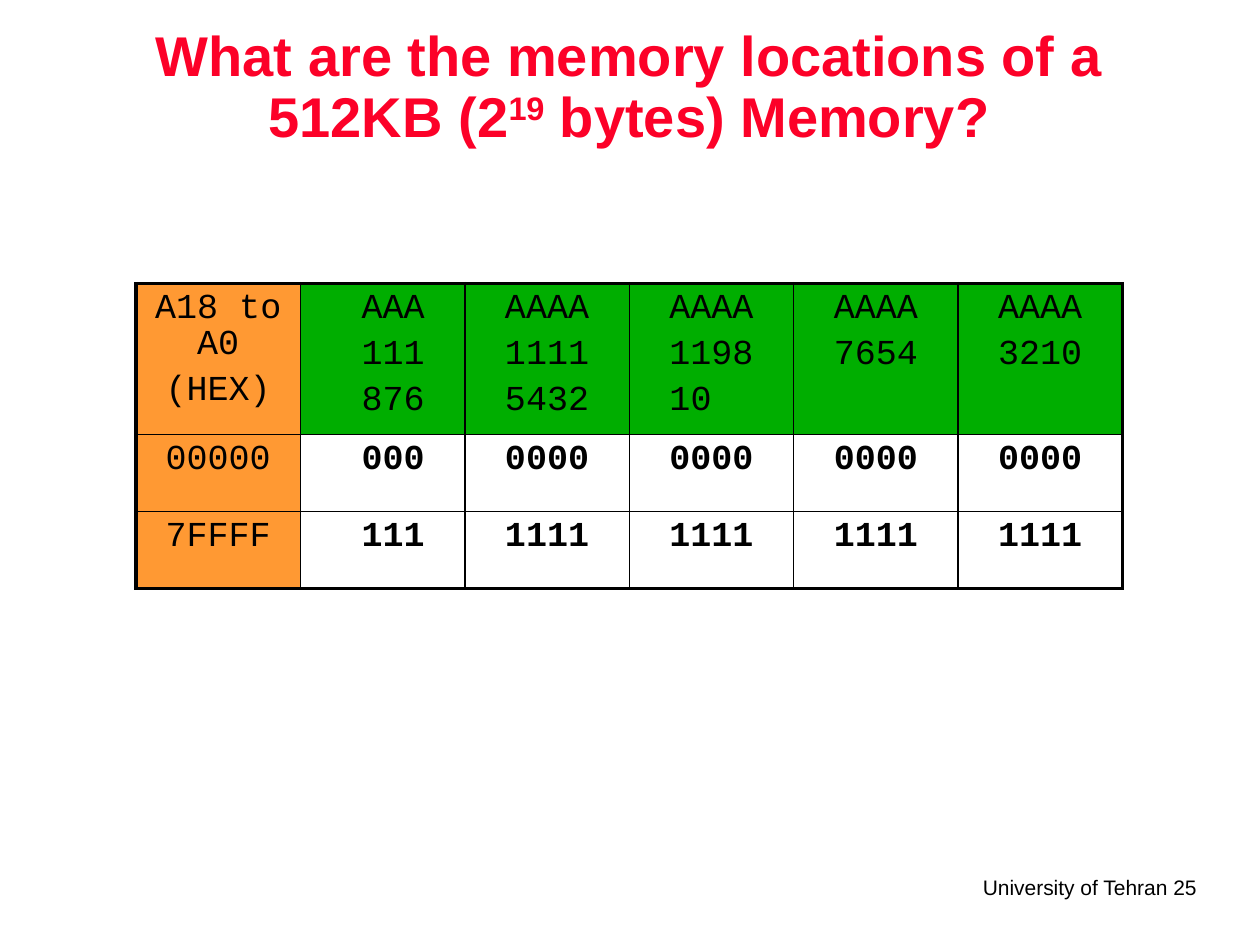
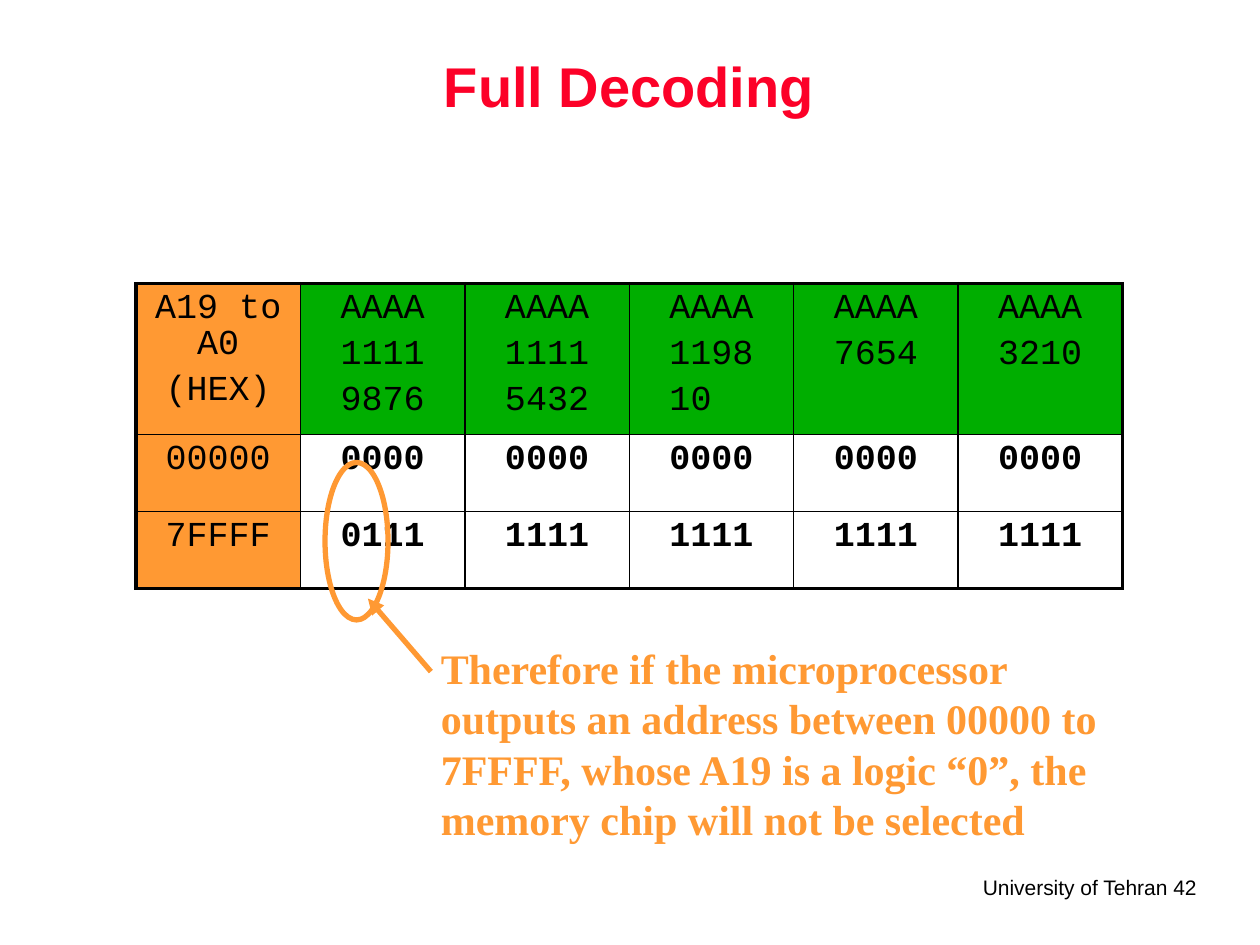
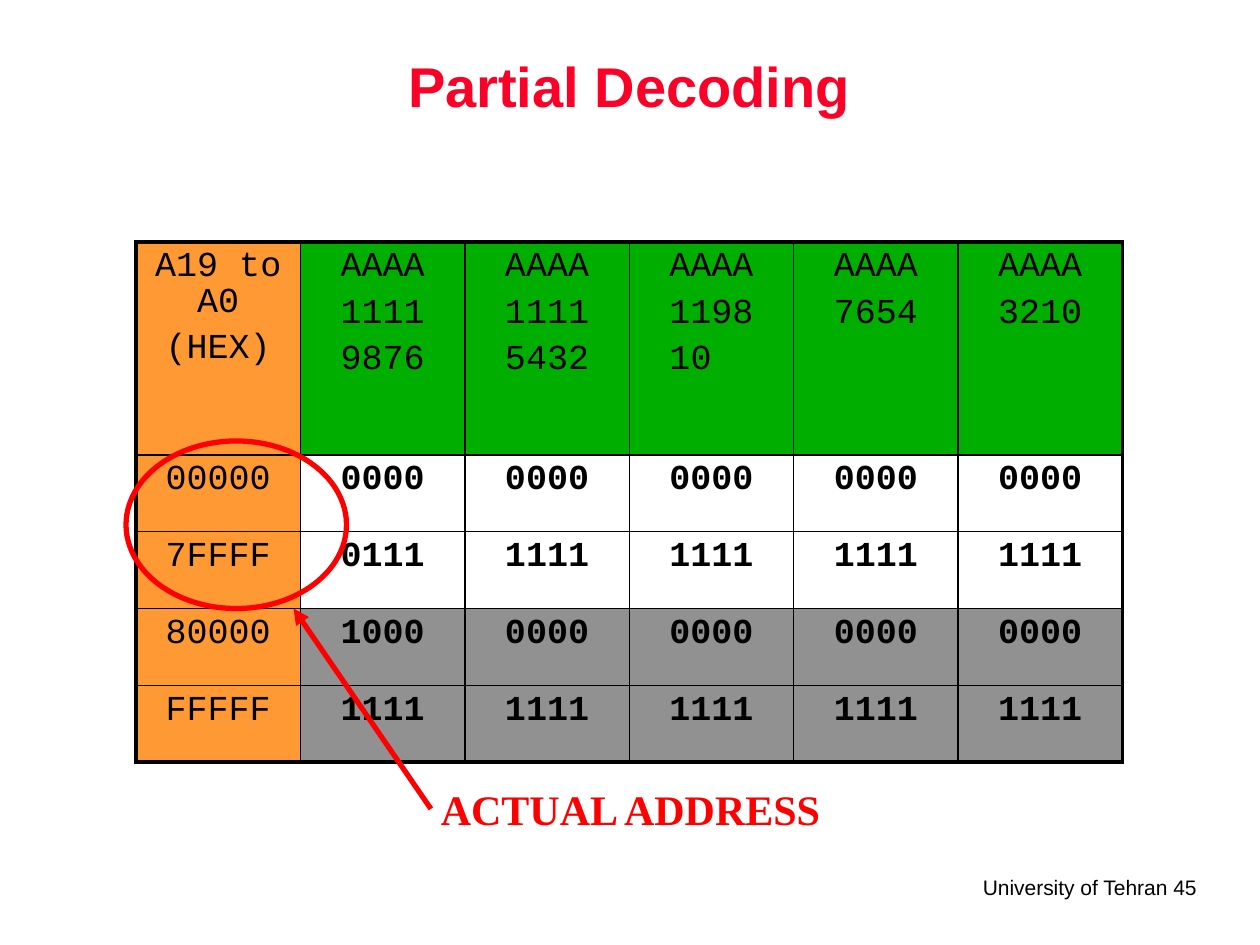
import pptx
import pptx.dml.color
import pptx.enum.shapes
import pptx.enum.text
import pptx.oxml.ns
import pptx.util
from lxml import etree
from pptx.util import Inches

COLORS = {
    "title": "FC0128",
    "text": "000000",
    "address": "FF9933",
    "header": "00AE00",
    "memory": "FFFFFF",
    "unused": "919191",
    "actual": "FF0000",
}
ALIGN = pptx.enum.text.PP_ALIGN
TABLE_LEFT, COLUMN_WIDTH, CELL_MARGIN = 1.08, 1.305, 0.1
CHARACTER_WIDTH = 1 / 6
LOWER_BITS = ["AAAA 1111 5432", "AAAA 1198 10__", "AAAA 7654", "AAAA 3210"]
ZEROS, ONES = ["0000"] * 4, ["1111"] * 4


def rgb(color):
    return pptx.dml.color.RGBColor.from_string(COLORS[color])


def add_xml(parent, tag, **attributes):
    return etree.SubElement(parent, pptx.oxml.ns.qn(tag), attributes)


class Deck:
    """Hold the shared style and the current slide of the memory lecture."""

    def __init__(self):
        self.presentation = pptx.Presentation()
        self.presentation.slide_width = Inches(10)
        self.presentation.slide_height = Inches(7.5)
        self.slide = None

    def new_slide(self, title, number):
        self.slide = self.presentation.slides.add_slide(self.presentation.slide_layouts[6])
        self.text(7.66, 6.89, 1.94, 0.3, [f"University of Tehran {number}"], 12, "Arial",
                  "text", align=ALIGN.RIGHT, wrap=False)
        frame = self.text(1.08, 0.08, 7.83, 1.25, title, 32, "Arial", "title", True, ALIGN.CENTER)
        frame.vertical_anchor = pptx.enum.text.MSO_ANCHOR.MIDDLE
        frame.paragraphs[0].line_spacing = 0.9

    def run(self, paragraph, text, size, font, color, bold=False):
        run = paragraph.add_run()
        run.text = text
        run.font.size = pptx.util.Pt(size)
        run.font.name = font
        run.font.bold = bold
        run.font.color.rgb = rgb(color)
        return run

    def text(self, left, top, width, height, pieces, size, font, color,
             bold=False, align=ALIGN.LEFT, wrap=True):
        shape = self.slide.shapes.add_textbox(
            Inches(left), Inches(top), Inches(width), Inches(height))
        frame = shape.text_frame
        frame.word_wrap = wrap
        paragraph = frame.paragraphs[0]
        paragraph.alignment = align
        for index, piece in enumerate(pieces):
            run = self.run(paragraph, piece, size, font, color, bold)
            if index % 2:
                run.font._element.set("baseline", "30000")
        return frame

    def note(self, left, top, width, height, text, color):
        self.text(left, top, width, height, [text], 24, "Times New Roman", color, True)

    def cell_line(self, paragraph, text, bold):
        visible = text.strip("_")
        paragraph.line_spacing = 0.9
        paragraph.space_before = pptx.util.Pt(6)
        paragraph.alignment = ALIGN.CENTER
        if visible != text:
            lead = len(text) - len(text.lstrip("_"))
            inner_width = COLUMN_WIDTH - 2 * CELL_MARGIN
            start = (inner_width - len(text) * CHARACTER_WIDTH) / 2
            paragraph.alignment = ALIGN.LEFT
            properties = paragraph._p.get_or_add_pPr()
            properties.set("marL", str(Inches(start + lead * CHARACTER_WIDTH)))
            properties.set("indent", "0")
        self.run(paragraph, visible, 20, "Courier New", "text", bold)

    def cell_borders(self, cell, thick_sides):
        properties = cell._tc.get_or_add_tcPr()
        for side, thick in zip("LRTB", thick_sides):
            width = pptx.util.Pt(2.25 if thick else 1)
            line = add_xml(properties, f"a:ln{side}", w=str(width))
            add_xml(add_xml(line, "a:solidFill"), "a:srgbClr", val=COLORS["text"])

    def address_table(self, top, header_height, highest_bit, upper_bits, rows):
        header = [[f"A{highest_bit} to A0", "(HEX)"]]
        header += [bits.split() for bits in [upper_bits] + LOWER_BITS]
        grid = [header] + [[[bits] for bits in row] for row in rows]
        last_row, last_column = len(grid) - 1, len(header) - 1
        heights = [header_height] + [0.61] * last_row
        table = self.slide.shapes.add_table(
            len(grid), len(header), Inches(TABLE_LEFT), Inches(top),
            Inches(COLUMN_WIDTH * len(header)), Inches(sum(heights))).table
        table.first_row = table.horz_banding = False
        for column in table.columns:
            column.width = Inches(COLUMN_WIDTH)
        for row_index, row in enumerate(grid):
            table.rows[row_index].height = Inches(heights[row_index])
            for column_index, lines in enumerate(row):
                cell = table.cell(row_index, column_index)
                self.cell_borders(cell, (column_index == 0, column_index == last_column,
                                         row_index == 0, row_index == last_row))
                if column_index == 0:
                    fill = "address"
                elif row_index == 0:
                    fill = "header"
                else:
                    fill = "memory" if row_index < 3 else "unused"
                cell.fill.solid()
                cell.fill.fore_color.rgb = rgb(fill)
                frame = cell.text_frame
                for line_index, line in enumerate(lines):
                    paragraph = frame.add_paragraph() if line_index else frame.paragraphs[0]
                    self.cell_line(paragraph, line, fill in ("memory", "unused"))

    def outline(self, line, color):
        line.color.rgb = rgb(color)
        line.width = pptx.util.Pt(3)

    def arrow(self, start, end, color):
        connector = self.slide.shapes.add_connector(
            pptx.enum.shapes.MSO_CONNECTOR.STRAIGHT, *map(Inches, start + end))
        self.outline(connector.line, color)
        add_xml(connector.line._get_or_add_ln(), "a:tailEnd", type="triangle")
        add_xml(connector._element.spPr, "a:effectLst")

    def ellipse(self, left, top, width, height, color):
        shape = self.slide.shapes.add_shape(
            pptx.enum.shapes.MSO_SHAPE.OVAL,
            Inches(left), Inches(top), Inches(width), Inches(height))
        shape.shadow.inherit = False
        shape.fill.background()
        self.outline(shape.line, color)


def main():
    deck = Deck()

    deck.new_slide(["What are the memory locations of a 512KB (2", "19", " bytes) Memory?"], 25)
    deck.address_table(2.25, 1.2, 18, "_AAA _111 _876",
                       [["00000", "_000"] + ZEROS, ["7FFFF", "_111"] + ONES])

    lower_half = [["00000", "0000"] + ZEROS, ["7FFFF", "0111"] + ONES]
    upper_half = [["80000", "1000"] + ZEROS, ["FFFFF", "1111"] + ONES]
    upper_bits = "AAAA 1111 9876"

    deck.new_slide(["Full Decoding"], 42)
    deck.address_table(2.25, 1.2, 19, upper_bits, lower_half)
    deck.arrow((3.42, 5.33), (2.92, 4.75), "address")
    deck.note(3.4, 5.05, 5.77, 1.7,
              "Therefore if the microprocessor outputs an address between 00000 to 7FFFF, "
              "whose A19 is a logic “0”, the memory chip will not be selected", "address")
    deck.ellipse(2.58, 3.67, 0.5, 1.25, "address")

    deck.new_slide(["Partial Decoding"], 45)
    deck.address_table(1.92, 1.69, 19, upper_bits, lower_half + upper_half)
    deck.arrow((3.42, 6.42), (2.33, 4.83), "actual")
    deck.note(3.4, 6.17, 6.18, 0.83, "ACTUAL ADDRESS", "actual")
    deck.ellipse(1, 3.5, 1.75, 1.33, "actual")

    deck.presentation.save("out.pptx")


if __name__ == "__main__":
    main()
